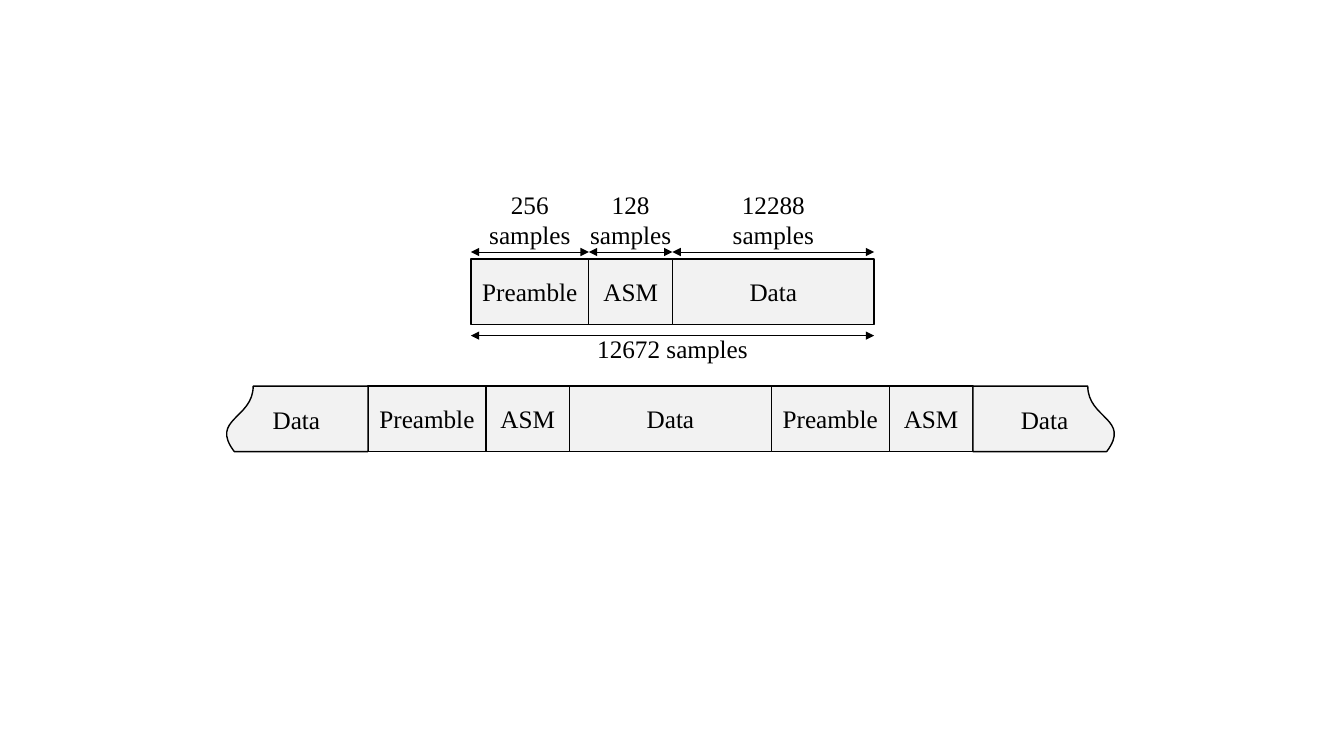
"""Build a slide showing a frame structure and its place in the sample stream."""
from pptx import Presentation
from pptx.dml.color import RGBColor
from pptx.enum.shapes import MSO_CONNECTOR, MSO_SHAPE
from pptx.enum.text import MSO_ANCHOR, MSO_AUTO_SIZE, PP_ALIGN
from pptx.oxml.ns import qn
from pptx.util import Inches, Pt
from lxml.etree import SubElement

FIELDS = {
    "Preamble": {"samples": "256", "width": 1.17},
    "ASM": {"samples": "128", "width": 0.83},
    "Data": {"samples": "12288", "width": 2.0},
}
FRAME_TOTAL = "12672 samples"
STREAM = ["Preamble", "ASM", "Data", "Preamble", "ASM"]
CUT_FIELD = "Data"

COLORS = {"field": "F2F2F2", "ink": "000000"}
FONT, FONT_SIZE = "Times New Roman", 18
FIELD_HEIGHT, CUT_WIDTH = 0.65, 1.42
FRAME_LEFT, FRAME_TOP = 4.67, 2.57
STREAM_LEFT, STREAM_TOP = 3.65, 3.83
COUNT_TOP, COUNT_WIDTH, COUNT_HEIGHT = 1.83, 1.02, 0.71
FIELD_ARROW_Y, FRAME_ARROW_Y = 2.5, 3.33
TOTAL_TOP, TOTAL_WIDTH = 3.26, 1.83
CUT_LABEL_TOP, CUT_LABEL_WIDTH = 3.96, 0.68
LABEL_HEIGHT = 0.4


def color(name):
    return RGBColor.from_string(COLORS[name])


def write(frame, lines):
    for index, line in enumerate(lines):
        paragraph = frame.paragraphs[0] if index == 0 else frame.add_paragraph()
        paragraph.alignment = PP_ALIGN.CENTER
        run = paragraph.add_run()
        run.text = line
        run.font.name, run.font.size = FONT, Pt(FONT_SIZE)
        run.font.color.rgb = color("ink")


def add_label(lines, center, top, width, height, wrap=False):
    label = slide.shapes.add_textbox(
        Inches(center - width / 2), Inches(top), Inches(width), Inches(height))
    label.text_frame.word_wrap = wrap
    label.text_frame.auto_size = MSO_AUTO_SIZE.SHAPE_TO_FIT_TEXT
    write(label.text_frame, lines)


def add_block(preset, left, top, width, height):
    block = slide.shapes.add_shape(
        preset, Inches(left), Inches(top), Inches(width), Inches(height))
    block.shadow.inherit = False
    block.fill.solid()
    block.fill.fore_color.rgb = color("field")
    block.line.color.rgb = color("ink")
    block.line.width = Pt(1)
    return block


def add_field(name, left, top):
    field = add_block(MSO_SHAPE.RECTANGLE, left, top, FIELDS[name]["width"], FIELD_HEIGHT)
    field.text_frame.vertical_anchor = MSO_ANCHOR.MIDDLE
    write(field.text_frame, [name])


def add_span(left, right, y):
    span = slide.shapes.add_connector(
        MSO_CONNECTOR.STRAIGHT, Inches(left), Inches(y), Inches(right), Inches(y))
    span.line.color.rgb = color("ink")
    span.line.width = Pt(0.5)
    for end in ("a:headEnd", "a:tailEnd"):
        SubElement(span.line._get_or_add_ln(), qn(end), type="triangle")
    SubElement(span._element.spPr, qn("a:effectLst"))


def add_cut_field(center, rotation, mirrored):
    middle = STREAM_TOP + FIELD_HEIGHT / 2
    cut = add_block(MSO_SHAPE.FLOWCHART_DOCUMENT, center - FIELD_HEIGHT / 2,
                    middle - CUT_WIDTH / 2, FIELD_HEIGHT, CUT_WIDTH)
    cut.rotation = rotation
    if mirrored:
        cut._element.spPr.find(qn("a:xfrm")).set("flipH", "1")
    add_label([CUT_FIELD], center, CUT_LABEL_TOP, CUT_LABEL_WIDTH, LABEL_HEIGHT)


def place(names, left):
    for name in names:
        right = left + FIELDS[name]["width"]
        yield name, left, right
        left = right


presentation = Presentation()
presentation.slide_width, presentation.slide_height = Inches(13.33), Inches(7.5)
slide = presentation.slides.add_slide(presentation.slide_layouts[6])

for name, left, right in place(FIELDS, FRAME_LEFT):
    add_field(name, left, FRAME_TOP)
    add_span(left, right, FIELD_ARROW_Y)
    add_label([FIELDS[name]["samples"], "samples"], (left + right) / 2,
              COUNT_TOP, COUNT_WIDTH, COUNT_HEIGHT)
frame_right = right
add_span(FRAME_LEFT, frame_right, FRAME_ARROW_Y)
add_label([FRAME_TOTAL], (FRAME_LEFT + frame_right) / 2,
          TOTAL_TOP, TOTAL_WIDTH, LABEL_HEIGHT, wrap=True)

for name, left, right in place(STREAM, STREAM_LEFT):
    add_field(name, left, STREAM_TOP)
stream_right = right
add_cut_field(stream_right + CUT_WIDTH / 2, 270, False)
add_cut_field(STREAM_LEFT - CUT_WIDTH / 2, 90, True)

presentation.save("out.pptx")
